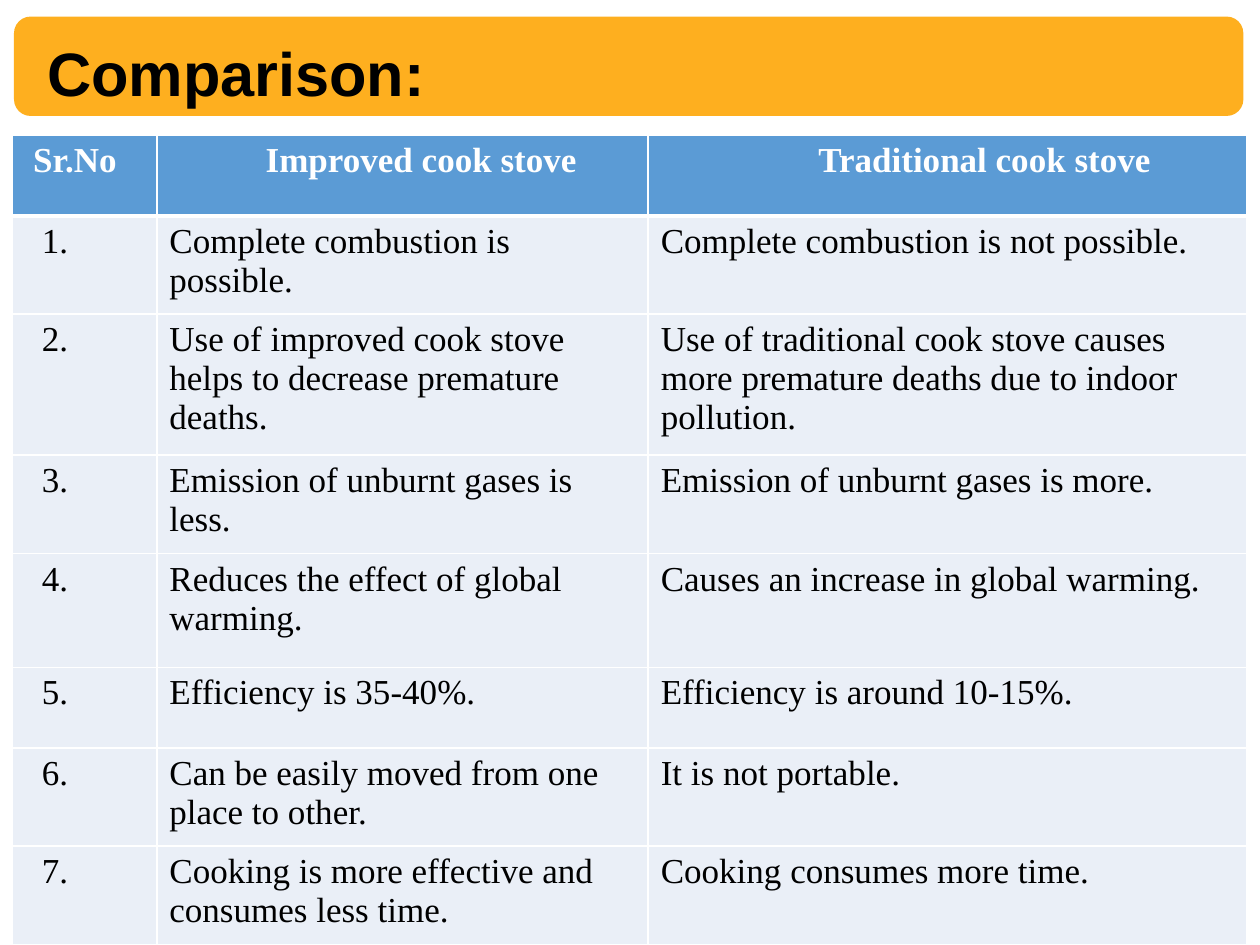
from lxml import etree
from pptx import Presentation
from pptx import util as u
from pptx.dml.color import RGBColor
from pptx.enum import shapes, text
from pptx.oxml import ns

COLORS = {"bar": "FEA501", "header": "5B9BD5", "body": "EAEFF7",
          "white": "FFFFFF", "black": "000000"}
COLUMN_WIDTHS = [82.8, 280.8, 342]
ROW_HEIGHTS = [46.2, 56.2, 80.6, 56.2, 65, 46, 56.2, 56.2]
HEADERS = ["Sr.No", "Improved cook stove", "Traditional cook stove"]
INSET = 7.2
HEADER_INDENTS = [5, 55, 90]
BODY_INDENTS = [10, 0, 0]
COMPARISONS = [
    ("Complete combustion is possible.", "Complete combustion is not possible."),
    ("Use of improved cook stove helps to decrease premature deaths.",
     "Use of traditional cook stove causes more premature deaths due to indoor pollution."),
    ("Emission of unburnt gases is less.", "Emission of unburnt gases is more."),
    ("Reduces the effect of global warming.", "Causes an increase in global warming."),
    ("Efficiency is 35-40%.", "Efficiency is around 10-15%."),
    ("Can be easily moved from one place to other.", "It is not portable."),
    ("Cooking is more effective and consumes less time.", "Cooking consumes more time."),
]


def color(name):
    """Return the named colour."""
    return RGBColor.from_string(COLORS[name])


def format_runs(paragraph, font_name, size, color_name, bold):
    """Format every run of a paragraph."""
    for run in paragraph.runs:
        run.font.name = font_name
        run.font.size = u.Pt(size)
        run.font.bold = bold
        run.font.color.rgb = color(color_name)


def add_title_bar(slide):
    """Add the slightly transparent rounded bar behind the title."""
    bar = slide.shapes.add_shape(shapes.MSO_SHAPE.ROUNDED_RECTANGLE,
                                 u.Pt(8), u.Pt(9.5), u.Pt(702.5), u.Pt(56.8))
    bar.shadow.inherit = False
    bar.line.fill.background()
    bar.fill.solid()
    bar.fill.fore_color.rgb = color("bar")
    fill_color = bar.element.spPr.find(".//" + ns.qn("a:srgbClr"))
    etree.SubElement(fill_color, ns.qn("a:alpha"), val="88000")


def set_title(slide, title_text):
    """Fill the title placeholder and bring it in front of the bar."""
    title = slide.shapes.title
    title.left, title.top, title.width, title.height = map(u.Pt, (18.7, 16.5, 232.6, 49.7))
    frame = title.text_frame
    frame.text = title_text
    frame.word_wrap = False
    frame.auto_size = text.MSO_AUTO_SIZE.NONE
    frame.vertical_anchor = text.MSO_ANCHOR.MIDDLE
    frame.paragraphs[0].alignment = text.PP_ALIGN.CENTER
    format_runs(frame.paragraphs[0], "Arial", 35, "black", True)
    title.element.getparent().append(title.element)


def set_borders(cell, top, bottom):
    """Draw white borders, with top and bottom widths in points."""
    properties = cell._tc.get_or_add_tcPr()
    widths = {"lnL": 1, "lnR": 1, "lnT": top, "lnB": bottom}
    for position, (tag, width) in enumerate(widths.items()):
        line = etree.Element(ns.qn("a:" + tag), w=str(u.Pt(width)))
        fill = etree.SubElement(line, ns.qn("a:solidFill"))
        etree.SubElement(fill, ns.qn("a:srgbClr"), val=COLORS["white"])
        properties.insert(position, line)


def fill_cell(cell, cell_text, row, indent):
    """Write and style one cell; row 0 is the header."""
    is_header = row == 0
    cell.text_frame.text = cell_text
    cell.margin_left = u.Pt(INSET + indent)
    cell.margin_right = u.Pt(INSET)
    cell.margin_top = cell.margin_bottom = u.Pt(3.6)
    cell.fill.solid()
    cell.fill.fore_color.rgb = color("header" if is_header else "body")
    format_runs(cell.text_frame.paragraphs[0], "Times New Roman", 20,
                "white" if is_header else "black", is_header)
    set_borders(cell, 3 if row == 1 else 1, 3 if is_header else 1)


def add_comparison_table(slide):
    """Add the table of numbered comparisons."""
    rows = [HEADERS] + [(f"{number}.", *pair) for number, pair in enumerate(COMPARISONS, 1)]
    table = slide.shapes.add_table(len(rows), len(HEADERS), u.Pt(6.8), u.Pt(77.2),
                                   u.Pt(sum(COLUMN_WIDTHS)), u.Pt(sum(ROW_HEIGHTS))).table
    for column, width in zip(table.columns, COLUMN_WIDTHS):
        column.width = u.Pt(width)
    for table_row, height in zip(table.rows, ROW_HEIGHTS):
        table_row.height = u.Pt(height)
    for row, values in enumerate(rows):
        indents = BODY_INDENTS if row else HEADER_INDENTS
        for column, (value, indent) in enumerate(zip(values, indents)):
            fill_cell(table.cell(row, column), value, row, indent)


def main():
    """Build and save the comparison slide."""
    presentation = Presentation()
    presentation.slide_width = u.Pt(720)
    presentation.slide_height = u.Pt(540)
    slide = presentation.slides.add_slide(presentation.slide_layouts[5])
    add_title_bar(slide)
    add_comparison_table(slide)
    set_title(slide, "Comparison:")
    presentation.save("out.pptx")


main()
